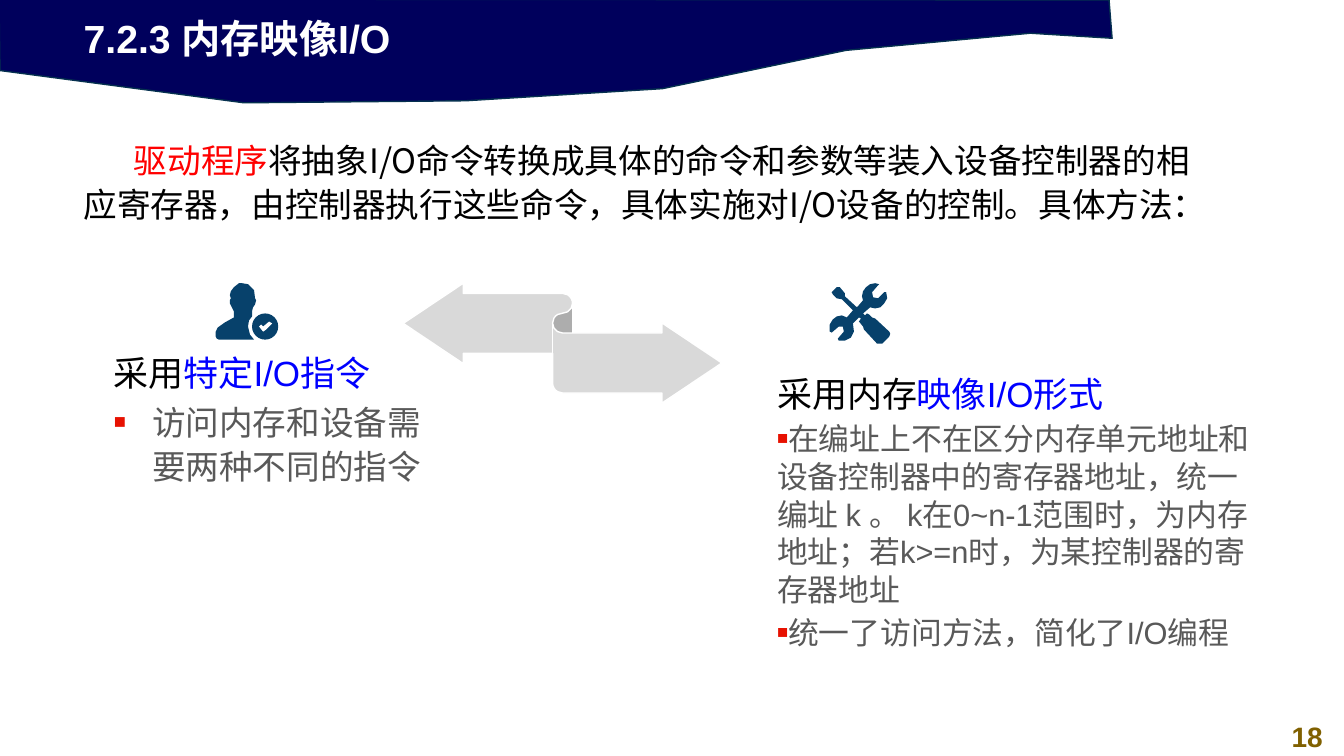
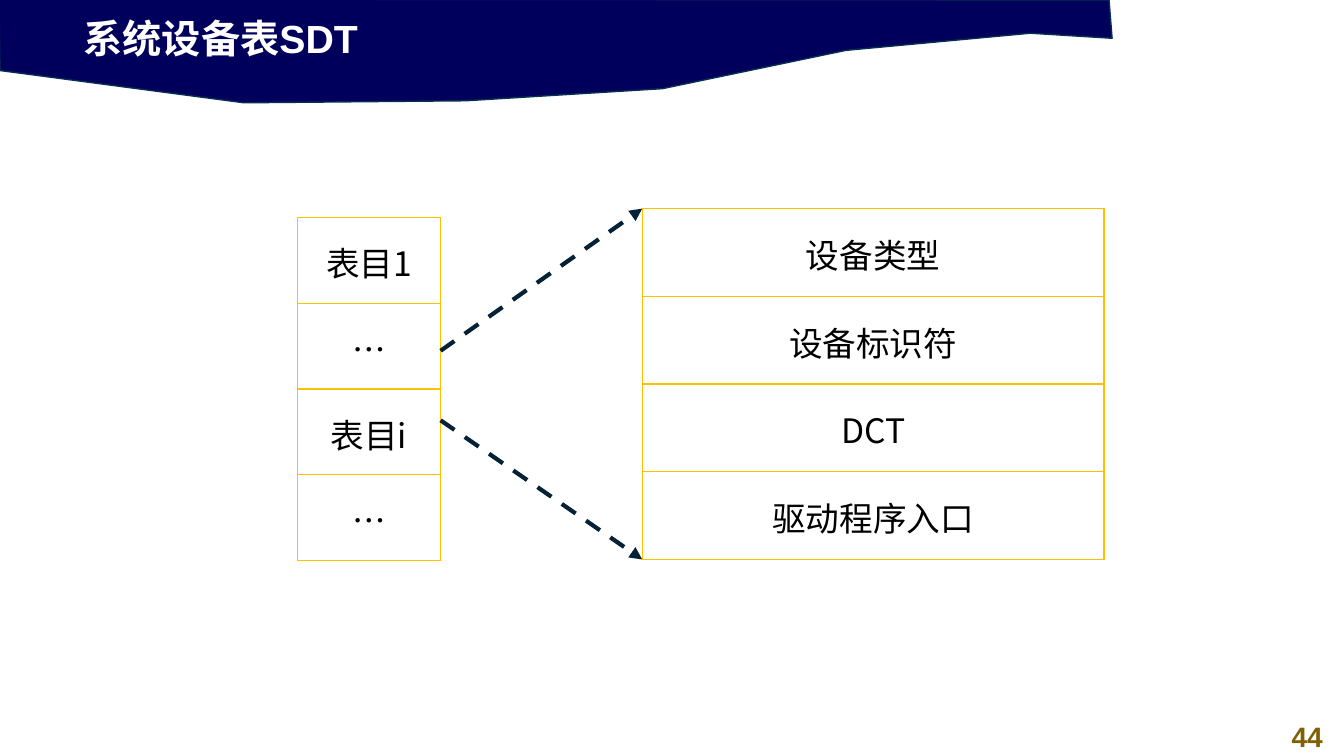
from dataclasses import dataclass

from lxml import etree
from pptx import Presentation
from pptx.dml.color import RGBColor
from pptx.enum.dml import MSO_LINE
from pptx.enum.shapes import MSO_CONNECTOR, MSO_SHAPE
from pptx.enum.text import MSO_ANCHOR, PP_ALIGN
from pptx.oxml.ns import qn
from pptx.util import Pt

SCALE = 9144  # EMU per px, 100 px to the inch
TITLE_ONLY = 5
DASH = MSO_LINE.DASH
STRAIGHT = MSO_CONNECTOR.STRAIGHT
OVAL, RIBBON = MSO_SHAPE.OVAL, MSO_SHAPE.LEFT_RIGHT_RIBBON
TOP, MIDDLE = MSO_ANCHOR.TOP, MSO_ANCHOR.MIDDLE
LEFT, CENTER = PP_ALIGN.LEFT, PP_ALIGN.CENTER


@dataclass(frozen=True)
class Theme:
    latin: str = "Arial"
    chinese: str = "Noto Sans CJK SC"
    white: str = "FFFFFF"
    black: str = "000000"
    gray: str = "595959"
    red: str = "FF0000"
    blue: str = "0000FF"
    band: str = "00005C"
    band_edge: str = "05304F"
    number: str = "806000"
    icon: str = "07416B"
    ribbon: str = "D9D9D9"
    bullet: str = "E71101"
    grid: str = "FFC000"
    arrow: str = "042136"
    title_size: int = 28
    heading_size: int = 25
    body_size: int = 24
    detail_size: int = 22
    number_size: int = 20


THEME = Theme()

BAND = [(-1, -1), (0, 70), (242, 102), (462, 100), (657, 88),
        (839, 50), (1022, 33), (1103, 38), (1100, 0)]
PERSON = [(240, 281), (246, 282), (249, 285), (252, 288), (253, 296), (254, 298),
          (253, 302), (251, 305), (250, 309), (250, 314), (247, 318), (246, 324),
          (248, 332), (252, 337), (217, 337), (215, 336), (214, 334), (214, 329),
          (216, 325), (223, 320), (232, 315), (232, 309), (230, 305), (228, 301),
          (228, 298), (229, 296), (228, 293), (229, 289), (232, 285), (237, 281)]
TICK = [(267, 319), (261, 324), (259, 322), (257, 324), (261, 329), (264, 327), (270, 321)]
TOOLS = [(882, 329), (868, 316), (865, 315), (862, 312), (860, 311), (858, 313),
         (856, 311), (863, 305), (868, 306), (873, 305), (877, 301), (880, 296),
         (879, 290), (877, 290), (871, 296), (866, 295), (865, 290), (871, 283),
         (872, 282), (868, 281), (863, 282), (859, 285), (856, 289), (855, 294),
         (856, 298), (850, 305), (838, 294), (838, 291), (833, 285), (830, 285),
         (825, 290), (826, 292), (830, 296), (835, 297), (846, 308), (840, 315),
         (835, 313), (830, 314), (826, 317), (823, 322), (823, 329), (825, 330),
         (832, 324), (836, 324), (837, 329), (831, 336), (832, 338), (838, 338),
         (844, 335), (847, 329), (846, 321), (852, 315), (854, 316), (852, 319),
         (856, 324), (857, 327), (870, 341), (875, 341), (882, 334), (883, 331)]


def px(length):
    return round(length * SCALE)


def add_run(paragraph, text, *, size, color, bold=False, latin=THEME.latin):
    run = paragraph.add_run()
    run.text = text
    font = run.font
    font.size, font.bold, font.name = Pt(size), bold, latin
    font.color.rgb = RGBColor.from_string(color)
    east_asian = etree.SubElement(font._element, qn("a:ea"))
    east_asian.set("typeface", THEME.chinese)


def add_solid_fill(parent, color):
    fill = etree.SubElement(parent, qn("a:solidFill"))
    etree.SubElement(fill, qn("a:srgbClr"), val=color)


def add_bullet(paragraph):
    properties = paragraph._p.get_or_add_pPr()
    bullet_color = etree.SubElement(properties, qn("a:buClr"))
    etree.SubElement(bullet_color, qn("a:srgbClr"), val=THEME.bullet)
    etree.SubElement(properties, qn("a:buSzPct"), val="60000")
    etree.SubElement(properties, qn("a:buFont"), typeface=THEME.latin)
    etree.SubElement(properties, qn("a:buChar"), char="■")


class Deck:
    def __init__(self):
        self.presentation = Presentation()
        self.presentation.slide_width = px(1333)
        self.presentation.slide_height = px(750)
        self.slide = None

    def add_slide(self, title, number):
        layout = self.presentation.slide_layouts[TITLE_ONLY]
        self.slide = self.presentation.slides.add_slide(layout)
        band = self.outline(BAND, THEME.band, THEME.band_edge)
        heading = self.slide.shapes.title
        heading.element.addprevious(band.element)
        heading.left, heading.top, heading.width, heading.height = map(px, (73, 9, 768, 57))
        frame = heading.text_frame
        frame.word_wrap, frame.vertical_anchor = True, MIDDLE
        paragraph = frame.paragraphs[0]
        paragraph.alignment = LEFT
        add_run(paragraph, title, size=THEME.title_size, color=THEME.white, bold=True)
        paragraph = self.paragraph(self.text_box(1260, 709, 73, 44))
        paragraph.alignment = CENTER
        add_run(paragraph, number, size=THEME.number_size, color=THEME.number, bold=True)

    def text_box(self, left, top, width, height):
        frame = self.slide.shapes.add_textbox(*map(px, (left, top, width, height))).text_frame
        frame.word_wrap, frame.vertical_anchor = True, TOP
        return frame

    def paragraph(self, frame, *, spacing=1.0, before=0, margin=0, indent=0, bullet=False):
        first = frame.paragraphs[0]
        paragraph = frame.add_paragraph() if first.runs else first
        properties = paragraph._p.get_or_add_pPr()
        properties.set("marL", str(px(margin)))
        properties.set("indent", str(px(indent)))
        if bullet:
            add_bullet(paragraph)
        paragraph.line_spacing = spacing
        paragraph.space_before = Pt(before)
        return paragraph

    def style(self, shape, fill, line=None):
        shape.shadow.inherit = False
        shape.fill.solid()
        shape.fill.fore_color.rgb = RGBColor.from_string(fill)
        if line:
            shape.line.color.rgb = RGBColor.from_string(line)
            shape.line.width = Pt(1)
        else:
            shape.line.fill.background()
        return shape

    def outline(self, points, fill, line=None):
        builder = self.slide.shapes.build_freeform(*points[0], scale=SCALE)
        builder.add_line_segments(points[1:], close=True)
        return self.style(builder.convert_to_shape(), fill, line)

    def preset(self, kind, left, top, width, height, fill, line=None):
        shape = self.slide.shapes.add_shape(kind, *map(px, (left, top, width, height)))
        return self.style(shape, fill, line)

    def column_table(self, left, top, width, row_height, labels):
        size = map(px, (left, top, width, row_height * len(labels)))
        table = self.slide.shapes.add_table(len(labels), 1, *size).table
        table.first_row = table.horz_banding = False
        for row, label in enumerate(labels):
            cell = table.cell(row, 0)
            cell.vertical_anchor = MIDDLE
            cell.margin_left = cell.margin_right = px(10)
            cell.margin_top, cell.margin_bottom = px(7), px(4)
            properties = cell._tc.get_or_add_tcPr()
            for side in ("lnL", "lnR", "lnT", "lnB"):
                border = etree.SubElement(properties, qn(f"a:{side}"), w=str(Pt(1)))
                add_solid_fill(border, THEME.grid)
            cell.fill.solid()
            cell.fill.fore_color.rgb = RGBColor.from_string(THEME.white)
            paragraph = cell.text_frame.paragraphs[0]
            paragraph.alignment = CENTER
            add_run(paragraph, label, size=THEME.body_size, color=THEME.black,
                    latin=THEME.chinese)

    def dashed_arrow(self, *ends):
        connector = self.slide.shapes.add_connector(STRAIGHT, *map(px, ends))
        line = connector.line
        line.color.rgb = RGBColor.from_string(THEME.arrow)
        line.width, line.dash_style = Pt(3), DASH
        etree.SubElement(line._get_or_add_ln(), qn("a:tailEnd"), type="triangle")
        etree.SubElement(connector._element.spPr, qn("a:effectLst"))


def add_mapping_slide(deck):
    deck.add_slide("7.2.3 内存映像I/O", "18")

    # Introduction
    introduction = deck.paragraph(deck.text_box(73, 130, 1140, 116), spacing=1.1, indent=50)
    for text, color in (
        ("驱动程序", THEME.red),
        ("将抽象I/O命令转换成具体的命令和参数等装入设备控制器的相应寄存器，"
         "由控制器执行这些命令，具体实施对I/O设备的控制。具体方法：", THEME.black),
    ):
        add_run(introduction, text, size=THEME.body_size, color=color, latin=THEME.chinese)

    # Icons and ribbon
    deck.outline(PERSON, THEME.icon)
    deck.preset(OVAL, 250, 311, 26, 26, THEME.icon)
    deck.outline(TICK, THEME.white)
    deck.outline(TOOLS, THEME.icon)
    ribbon = deck.preset(RIBBON, 400, 281, 316, 119, THEME.ribbon, THEME.white)
    for index, value in enumerate((0.5, 0.5, 0.33)):
        ribbon.adjustments[index] = value

    # Two methods
    methods = (
        ((103, 354, 332, 333), 0.75, ("采用", "特定I/O指令"),
         dict(spacing=1.1, before=3, margin=38, indent=-38), THEME.body_size,
         ("访问内存和设备需要两种不同的指令",)),
        ((761, 360, 497, 288), 1.1, ("采用内存", "映像I/O形式"),
         dict(spacing=1.02, before=3.7), THEME.detail_size,
         ("在编址上不在区分内存单元地址和设备控制器中的寄存器地址，统一编址 k 。 "
          "k在0~n-1范围时，为内存地址；若k>=n时，为某控制器的寄存器地址",
          "统一了访问方法，简化了I/O编程")),
    )
    for box, spacing, heading, layout, size, details in methods:
        frame = deck.text_box(*box)
        paragraph = deck.paragraph(frame, spacing=spacing)
        for text, color in zip(heading, (THEME.black, THEME.blue)):
            add_run(paragraph, text, size=THEME.heading_size, color=color)
        for detail in details:
            paragraph = deck.paragraph(frame, bullet=True, **layout)
            add_run(paragraph, detail, size=size, color=THEME.gray)


def add_device_table_slide(deck):
    deck.add_slide("系统设备表SDT", "44")

    # System table and the fields of one entry
    deck.column_table(295, 216, 142, 85, ("表目1", "…", "表目i", "…"))
    deck.column_table(637, 207, 458, 87, ("设备类型", "设备标识符", "DCT", "驱动程序入口"))

    # Expansion arrows
    deck.dashed_arrow(437, 348, 637, 207)
    deck.dashed_arrow(437, 417, 637, 555)


def main():
    deck = Deck()
    add_mapping_slide(deck)
    add_device_table_slide(deck)
    deck.presentation.save("out.pptx")


if __name__ == "__main__":
    main()
